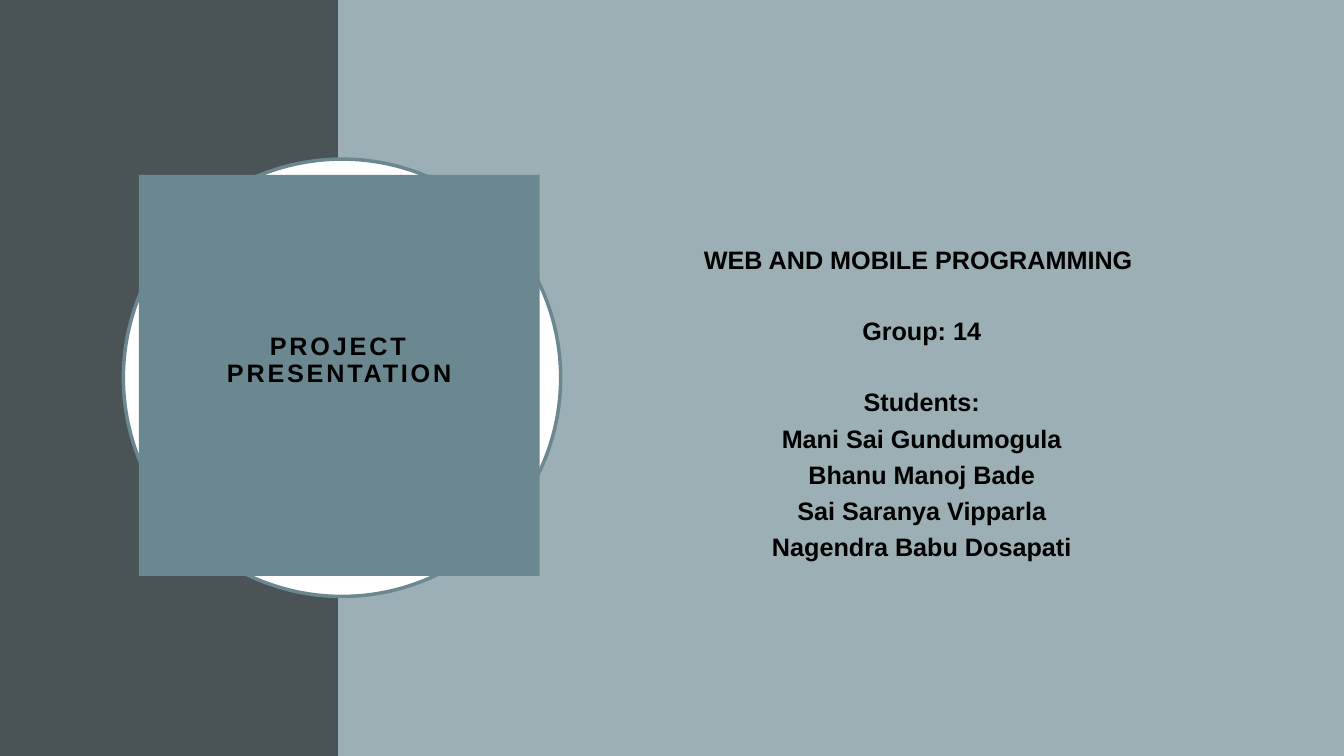
from pptx import Presentation
from pptx.dml.color import RGBColor
from pptx.enum.shapes import MSO_SHAPE
from pptx.enum.text import MSO_ANCHOR, PP_ALIGN
from pptx.util import Cm, Pt

SLATE = RGBColor(0x4A, 0x53, 0x56)
MIST = RGBColor(0x9B, 0xAF, 0xB5)
TEAL = RGBColor(0x6B, 0x88, 0x91)
WHITE = RGBColor(0xFF, 0xFF, 0xFF)
BLACK = RGBColor(0x00, 0x00, 0x00)

WIDTH, HEIGHT, BAND = 33.87, 19.05, 8.52


def add_filled(preset, left, top, width, height, color):
    shape = slide.shapes.add_shape(preset, Cm(left), Cm(top), Cm(width), Cm(height))
    shape.shadow.inherit = False
    shape.fill.solid()
    shape.fill.fore_color.rgb = color
    shape.line.fill.background()
    return shape


def style_paragraph(paragraph, line_spacing):
    paragraph.alignment = PP_ALIGN.CENTER
    paragraph.line_spacing = line_spacing
    paragraph.font.name = "Arial"
    paragraph.font.size = Pt(18)
    paragraph.font.bold = True
    paragraph.font.color.rgb = BLACK


presentation = Presentation()
presentation.slide_width = Cm(WIDTH)
presentation.slide_height = Cm(HEIGHT)
slide = presentation.slides.add_slide(presentation.slide_layouts[6])
slide.background.fill.solid()
slide.background.fill.fore_color.rgb = MIST

add_filled(MSO_SHAPE.RECTANGLE, 0, 0, BAND, HEIGHT, SLATE)
add_filled(MSO_SHAPE.RECTANGLE, BAND, 0, WIDTH - BAND, HEIGHT, MIST)

ring = add_filled(MSO_SHAPE.OVAL, 3.11, 4.01, 11.02, 11.02, WHITE)
ring.line.color.rgb = TEAL
ring.line.width = Pt(2.5)

title = add_filled(MSO_SHAPE.RECTANGLE, 3.5, 4.41, 10.1, 10.1, TEAL).text_frame
title.word_wrap = True
title.vertical_anchor = MSO_ANCHOR.MIDDLE
title.margin_left = title.margin_right = title.margin_top = Cm(0.5)
title.margin_bottom = Cm(1.25)
heading = title.paragraphs[0]
heading.text = "PROJECT\vPRESENTATION"
style_paragraph(heading, 0.9)
for run in heading.runs:
    run.font._element.set("spc", "200")

details = slide.shapes.add_textbox(Cm(14.99), Cm(5.92), Cm(16.48), Cm(8.99)).text_frame
details.word_wrap = True
groups = [
    ["WEB AND MOBILE PROGRAMMING "],
    ["Group: 14"],
    [
        "Students:",
        "Mani Sai Gundumogula",
        "Bhanu Manoj Bade",
        "Sai Saranya Vipparla",
        "Nagendra Babu Dosapati",
    ],
]
paragraph = details.paragraphs[0]
for group in groups:
    for line in group:
        if paragraph.text:
            paragraph = details.add_paragraph()
        paragraph.text = line
        style_paragraph(paragraph, 1.15)
        paragraph.space_after = Pt(1)
    if group is not groups[-1]:
        paragraph.space_after = Pt(26)

presentation.save("out.pptx")
